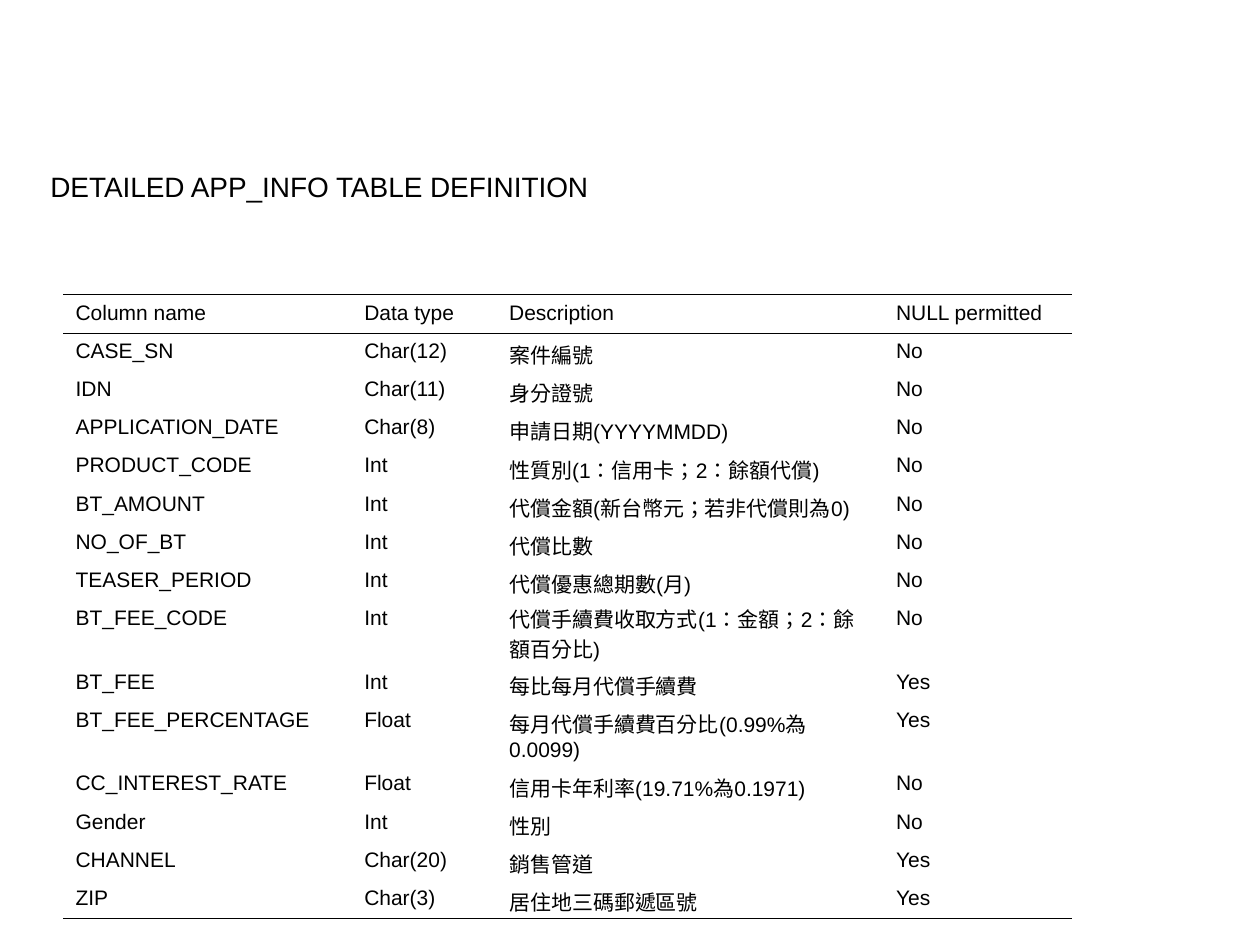
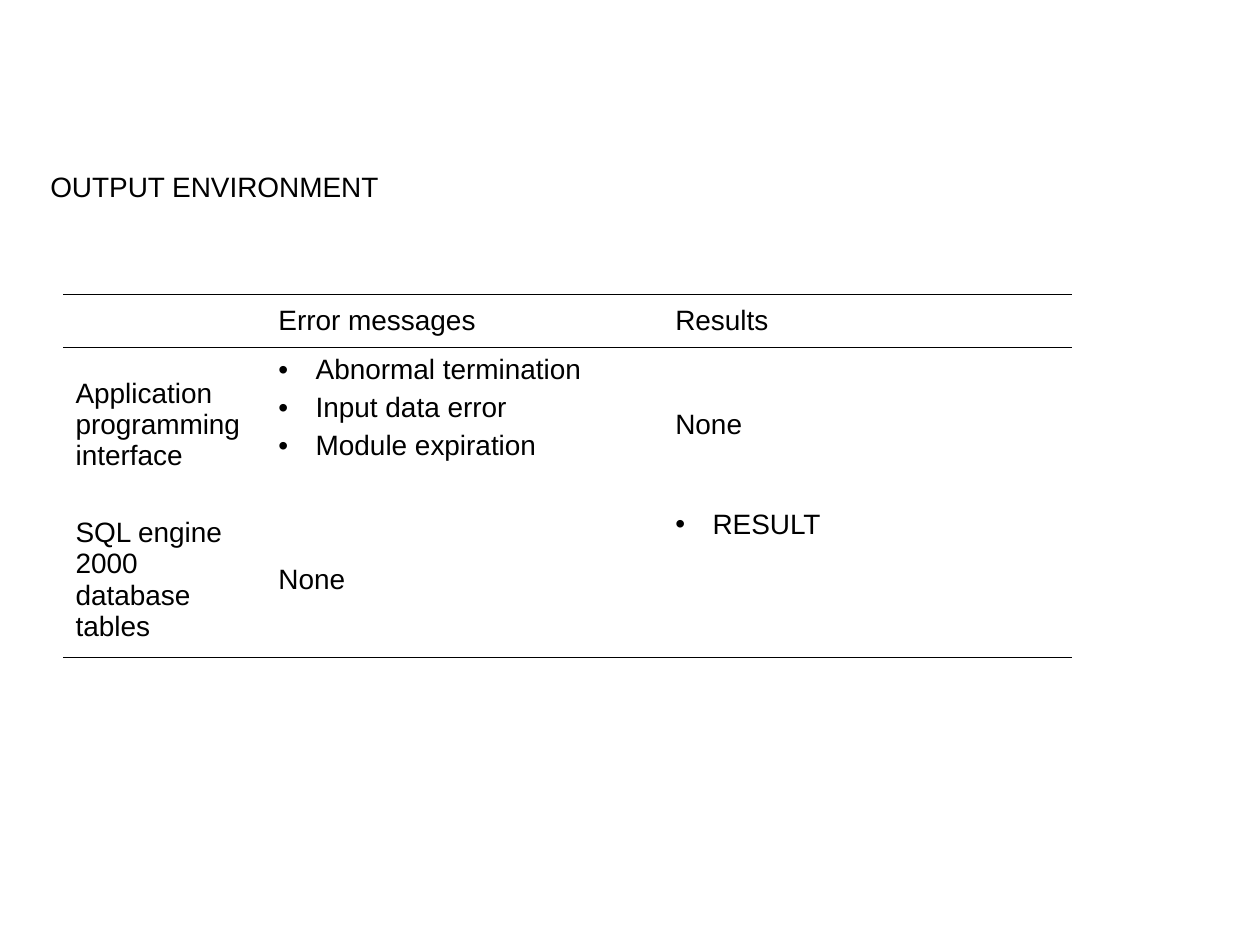
from lxml import etree
from pptx import Presentation
from pptx.dml.color import RGBColor
from pptx.enum import text
from pptx.oxml.ns import qn
from pptx.util import Cm, Pt

HUE = {"ink": "000000"}
FONT = {"name": "Arial", "bold": False}
INK = RGBColor.from_string(HUE["ink"])
PLAIN = "{2D5ABB26-0587-4C30-8999-92F81FD0307C}"
TOP, MID = text.MSO_ANCHOR.TOP, text.MSO_ANCHOR.MIDDLE
BOX = {"left": Cm(0.76), "top": Cm(3.3), "width": Cm(23.6), "height": Cm(0.94)}
FRAME = {"word_wrap": True, "vertical_anchor": TOP,
         "auto_size": text.MSO_AUTO_SIZE.NONE}

FIELDS = [
    ("Column name", "Data type", "Description", "NULL permitted"),
    ("CASE_SN", "Char(12)", "案件編號", "No"),
    ("IDN", "Char(11)", "身分證號", "No"),
    ("APPLICATION_DATE", "Char(8)", "申請日期(YYYYMMDD)", "No"),
    ("PRODUCT_CODE", "Int", "性質別(1：信用卡；2：餘額代償)", "No"),
    ("BT_AMOUNT", "Int", "代償金額(新台幣元；若非代償則為0)", "No"),
    ("NO_OF_BT", "Int", "代償比數", "No"),
    ("TEASER_PERIOD", "Int", "代償優惠總期數(月)", "No"),
    ("BT_FEE_CODE", "Int", "代償手續費收取方式(1：金額；2：餘額百分比)", "No"),
    ("BT_FEE", "Int", "每比每月代償手續費", "Yes"),
    ("BT_FEE_PERCENTAGE", "Float", "每月代償手續費百分比(0.99%為0.0099)", "Yes"),
    ("CC_INTEREST_RATE", "Float", "信用卡年利率(19.71%為0.1971)", "No"),
    ("Gender", "Int", "性別", "No"),
    ("CHANNEL", "Char(20)", "銷售管道", "Yes"),
    ("ZIP", "Char(3)", "居住地三碼郵遞區號", "Yes"),
]
OUTPUTS = [
    ("", "Error messages", "Results"),
    ("Application programming interface",
     ["Abnormal termination", "Input data error", "Module expiration"], "None"),
    ("SQL engine 2000 database tables", "None", ["RESULT"]),
]
TALL = ("BT_FEE_CODE", "BT_FEE_PERCENTAGE")
PAGES = [
    {"title": "DETAILED APP_INFO TABLE DEFINITION", "rows": FIELDS, "size": 12,
     "cols": [5.82, 2.92, 7.8, 3.81], "anchor": TOP, "lang": "zh-TW",
     "highs": [1.28 if row[0] in TALL else 0.77 for row in FIELDS]},
    {"title": "OUTPUT ENVIRONMENT", "rows": OUTPUTS, "size": 16,
     "cols": [4.09, 8.0, 8.26], "anchor": MID, "lang": "en-US",
     "highs": [1.07, 3.12, 3.12]},
]


def style(item, values):
    for key, value in values.items():
        setattr(item, key, value)


def rule(cell, side, width):
    line = etree.SubElement(cell._tc.get_or_add_tcPr(), qn("a:" + side), w=str(Pt(width)))
    if width:
        fill = etree.SubElement(line, qn("a:solidFill"))
        etree.SubElement(fill, qn("a:srgbClr"), val=HUE["ink"])
    else:
        etree.SubElement(line, qn("a:noFill"))


deck = Presentation()
style(deck, {"slide_width": Cm(25.4), "slide_height": Cm(19.05)})

for page in PAGES:
    slide = deck.slides.add_slide(deck.slide_layouts[5])
    title = slide.shapes.title
    style(title, BOX)
    style(title.text_frame, FRAME)
    title.text_frame.text = page["title"]
    para = title.text_frame.paragraphs[0]
    para.alignment = text.PP_ALIGN.LEFT
    style(para.font, FONT | {"size": Pt(16)})
    para.font.color.rgb = INK

    rows, cols, highs = page["rows"], page["cols"], page["highs"]
    frame = slide.shapes.add_table(len(rows), len(cols), Cm(1.27), Cm(5.94),
                                   Cm(sum(cols)), Cm(sum(highs)))
    table = frame.table
    style(table, {"first_row": False, "horz_banding": False})
    table._tbl.tblPr.find(qn("a:tableStyleId")).text = PLAIN
    for col, width in zip(table.columns, cols):
        col.width = Cm(width)
    for row, high in zip(table.rows, highs):
        row.height = Cm(high)

    edges = [0.75, 0.45] + [0] * (len(rows) - 2) + [0.75]
    for r, row in enumerate(rows):
        for c, value in enumerate(row):
            cell = table.cell(r, c)
            list_cell = isinstance(value, list)
            cell.vertical_anchor = TOP if list_cell else page["anchor"]
            if page["anchor"] == TOP:
                cell.margin_bottom = 0
            if row[0] == "BT_FEE_CODE":
                cell.margin_top = Cm(0.13 if c != 2 else 0.05)
            for side in ("lnL", "lnR"):
                rule(cell, side, 0)
            rule(cell, "lnT", edges[r])
            rule(cell, "lnB", edges[r + 1])
            cell.fill.background()
            cell.text = "\n".join(value) if list_cell else value
            for n, para in enumerate(cell.text_frame.paragraphs):
                if list_cell:
                    props = para._p.get_or_add_pPr()
                    props.set("marL", str(Cm(0.75)))
                    props.set("indent", str(-Cm(0.75)))
                    etree.SubElement(props, qn("a:buFont"), typeface=FONT["name"])
                    etree.SubElement(props, qn("a:buChar"), char="•")
                if n:
                    para.space_before = Pt(4)
                style(para.font, FONT | {"size": Pt(page["size"])})
                para.font.color.rgb = INK
                for run in para.runs:
                    run._r.get_or_add_rPr().set("lang", page["lang"])

deck.save("out.pptx")
